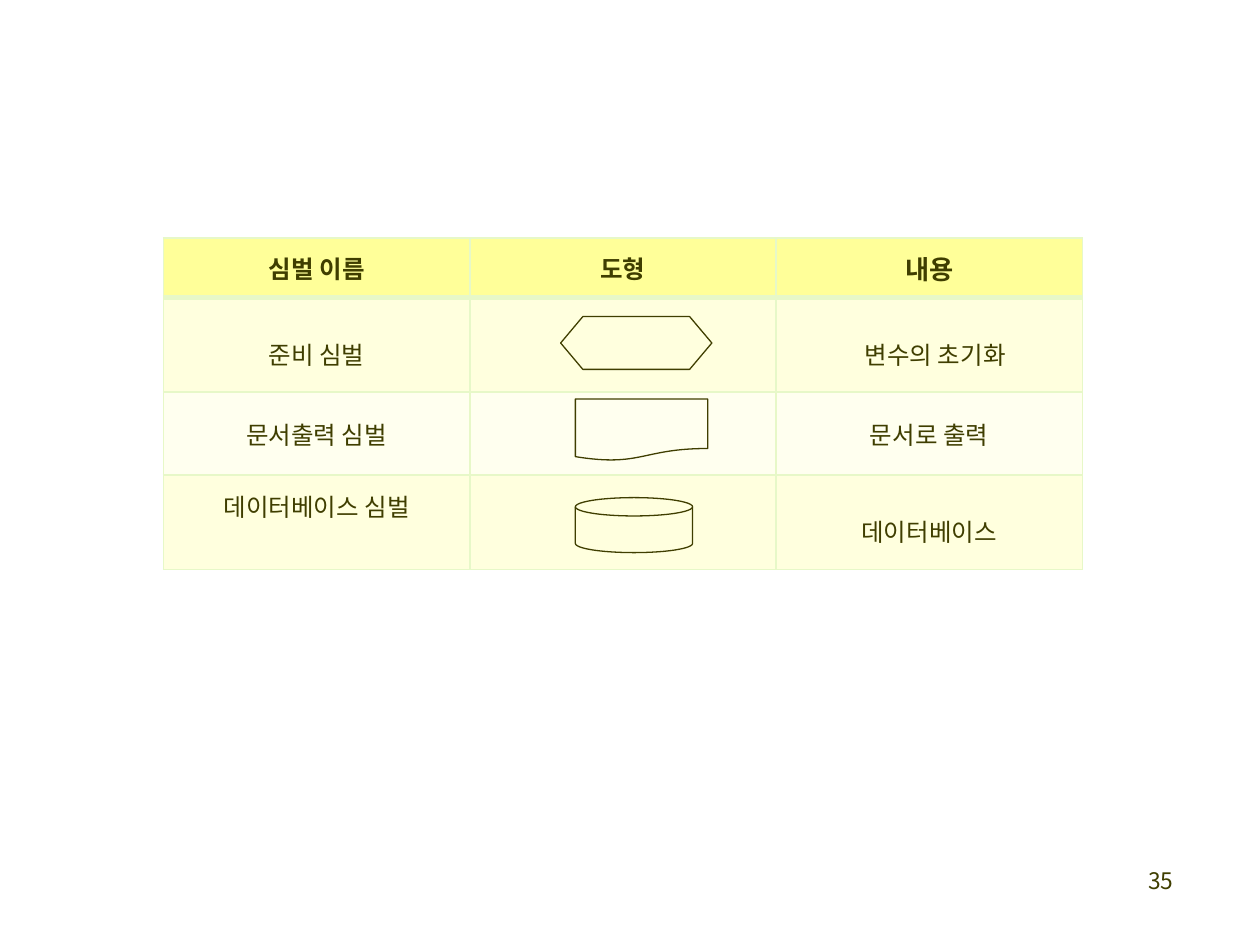
from lxml import etree
from pptx import Presentation
from pptx.dml.color import RGBColor
from pptx.enum import shapes, text
from pptx.oxml.ns import qn
from pptx.util import Pt

COLORS = {"ink": "3F3E00", "border": "E7F8C8", "header": "FFFF99",
          "odd": "FFFFDE", "even": "FFFFEF"}
HEADERS = [("심벌 이름", "Arial", 14), ("도형", "Times New Roman", 14), ("내용", "Arial", 15)]
# symbol name, meaning, row height
SYMBOLS = [("준비 심벌", "변수의 초기화", 54),
           ("문서출력 심벌", "문서로 출력", 47.5),
           ("데이터베이스 심벌", "데이터베이스", 54)]
HEADER_HEIGHT = 34
TABLE_LEFT, TABLE_TOP, COLUMN_WIDTH = 93.5, 136, 175
LOOSE_CELLS = {(1, 0), (1, 2), (3, 2)}
# kind, left, top, width, height
SYMBOL_SHAPES = [
    (shapes.MSO_SHAPE.HEXAGON, 320.4, 180.9, 86.4, 30.2),
    (shapes.MSO_SHAPE.FLOWCHART_DOCUMENT, 328.8, 228, 75.6, 35.3),
    (shapes.MSO_SHAPE.FLOWCHART_MAGNETIC_DISK, 328.8, 284.4, 67, 31.4)]
PAGE_NUMBER = "35"


def color(name):
    return RGBColor.from_string(COLORS[name])


def set_borders(cell, widths):
    properties = cell._tc.get_or_add_tcPr()
    for side, width in zip(("lnL", "lnR", "lnT", "lnB"), widths):
        line = etree.SubElement(properties, qn("a:" + side), w=str(Pt(width)))
        fill = etree.SubElement(line, qn("a:solidFill"))
        etree.SubElement(fill, qn("a:srgbClr"), val=COLORS["border"])


def format_text(para, font, size, bold=False):
    for span in para.runs:
        span.font.name, span.font.size, span.font.bold = font, Pt(size), bold
        span.font.color.rgb = color("ink")


def add_symbol_table(page):
    heights = [HEADER_HEIGHT] + [height for _, _, height in SYMBOLS]
    table = page.shapes.add_table(
        len(heights), len(HEADERS), Pt(TABLE_LEFT), Pt(TABLE_TOP),
        Pt(COLUMN_WIDTH * len(HEADERS)), Pt(sum(heights))).table
    for column in table.columns:
        column.width = Pt(COLUMN_WIDTH)
    rows = [[label for label, _, _ in HEADERS]]
    rows += [[name, "", meaning] for name, meaning, _ in SYMBOLS]
    for r, (labels, height) in enumerate(zip(rows, heights)):
        table.rows[r].height = Pt(height)
        fill_name = "header" if r == 0 else "odd" if r % 2 else "even"
        for c, label in enumerate(labels):
            cell = table.cell(r, c)
            set_borders(cell, (1, 1, 3 if r == 1 else 1, 3 if r == 0 else 1))
            cell.fill.solid()
            cell.fill.fore_color.rgb = color(fill_name)
            cell.margin_left = cell.margin_right = Pt(5)
            cell.margin_top = cell.margin_bottom = Pt(3)
            cell.vertical_anchor = text.MSO_ANCHOR.MIDDLE
            para = cell.text_frame.paragraphs[0]
            para.text = label
            para.alignment = text.PP_ALIGN.CENTER
            if (r, c) in LOOSE_CELLS:
                para.line_spacing = 1.5
            font, size = HEADERS[c][1:] if r == 0 else ("Arial", 14)
            format_text(para, font, size, bold=r == 0)
    table.cell(1, 2).margin_left = Pt(12)
    table.cell(3, 0).margin_bottom = Pt(22)


def add_symbol_shapes(page):
    for kind, *bounds in SYMBOL_SHAPES:
        symbol = page.shapes.add_shape(kind, *map(Pt, bounds))
        symbol.shadow.inherit = False
        symbol.fill.background()
        symbol.line.color.rgb = color("ink")
        symbol.line.width = Pt(0.75)
        if kind == shapes.MSO_SHAPE.HEXAGON:
            symbol.adjustments[0] = 0.42


def add_page_number(page):
    box = page.shapes.add_textbox(Pt(527.8), Pt(491.8), Pt(149.8), Pt(36))
    box.text_frame.word_wrap = True
    para = box.text_frame.paragraphs[0]
    para.text = PAGE_NUMBER
    para.alignment = text.PP_ALIGN.RIGHT
    format_text(para, "Noto Sans CJK KR", 13)


def main():
    deck = Presentation()
    deck.slide_width, deck.slide_height = Pt(720), Pt(540)
    page = deck.slides.add_slide(deck.slide_layouts[6])
    add_symbol_table(page)
    add_page_number(page)
    add_symbol_shapes(page)
    deck.save("out.pptx")


if __name__ == "__main__":
    main()
